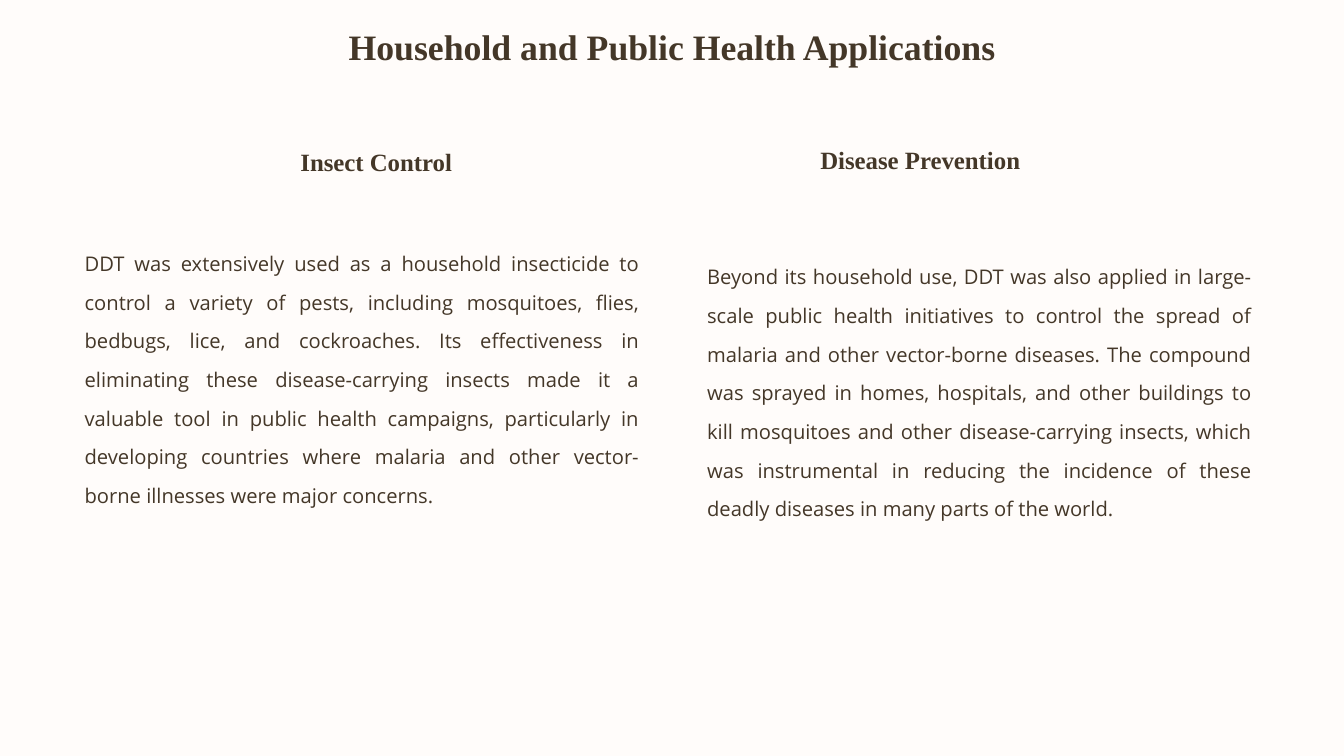
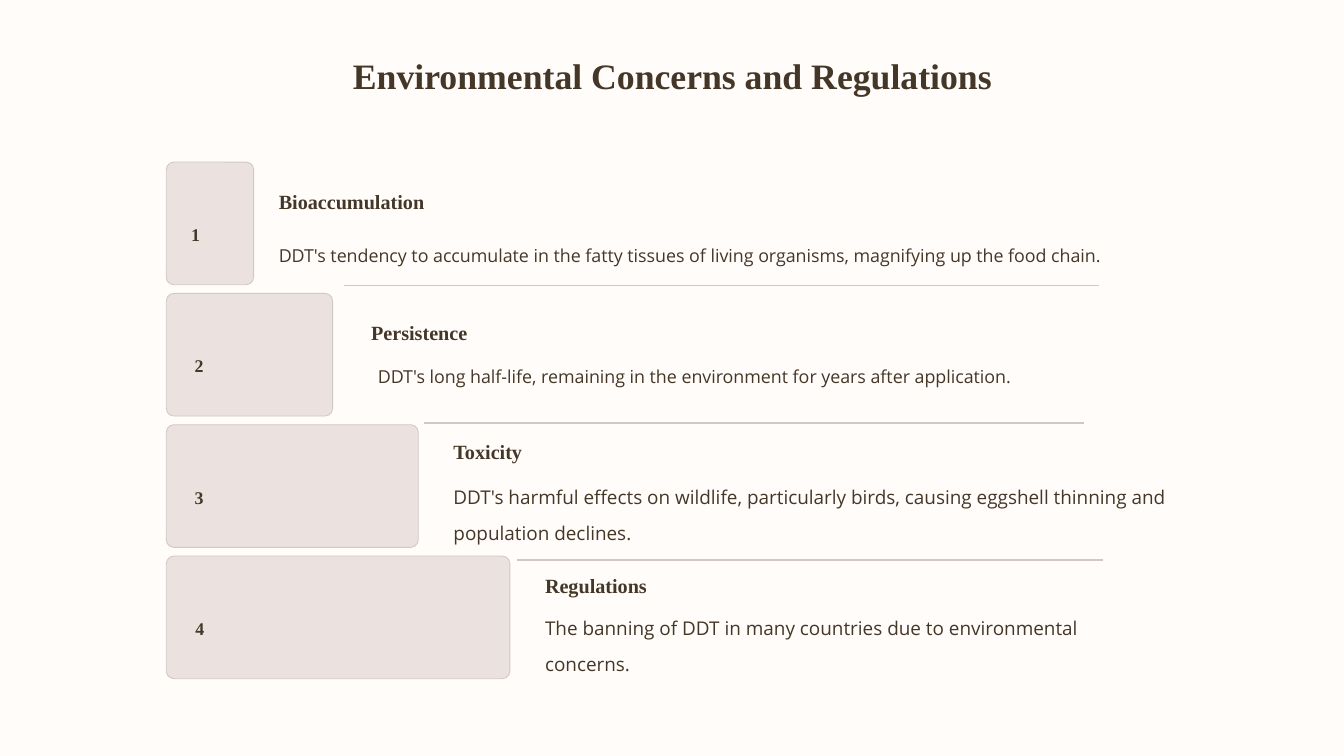
"""Build two slides on the uses of DDT and the concerns it raised."""
import pptx
import pptx.dml.color
import pptx.enum.shapes
import pptx.enum.text
import pptx.oxml
import pptx.util

COLORS = {"page": "FFFCFA", "text": "443728", "step": "EBE2E0", "line": "D1C8C6"}
SERIF, SANS = "Times New Roman", "Open Sans"
ALIGN = pptx.enum.text.PP_ALIGN
SHAPE = pptx.enum.shapes.MSO_SHAPE
W, H = 16, 9
INSET = 0.1

USES_TITLE = "Household and Public Health Applications"
USES = [
    {"head": "Insect Control", "head_at": (1.24, 1.61, 4.24, 0.72), "align": ALIGN.RIGHT,
     "body_at": (0.91, 2.77, 6.8, 3.46),
     "body": "DDT was extensively used as a household insecticide to control a variety of pests, "
             "including mosquitoes, flies, bedbugs, lice, and cockroaches. Its effectiveness in "
             "eliminating these disease-carrying insects made it a valuable tool in public health "
             "campaigns, particularly in developing countries where malaria and other vector-borne "
             "illnesses were major concerns."},
    {"head": "Disease Prevention", "head_at": (8.56, 1.58, 4.79, 0.78), "align": ALIGN.CENTER,
     "body_at": (8.32, 2.93, 6.68, 4.01),
     "body": "Beyond its household use, DDT was also applied in large-scale public health "
             "initiatives to control the spread of malaria and other vector-borne diseases. The "
             "compound was sprayed in homes, hospitals, and other buildings to kill mosquitoes and "
             "other disease-carrying insects, which was instrumental in reducing the incidence of "
             "these deadly diseases in many parts of the world."},
]

CONCERNS_TITLE = "Environmental Concerns and Regulations"
CONCERNS = [
    {"head": "Bioaccumulation", "width": 1.04, "number_left": 2.25,
     "head_at": (3.22, 2.13, 3.35, 0.43), "body_at": (3.22, 2.71, 10.21, 0.64),
     "size": 15.25, "rule": (4.09, 3.4, 8.99),
     "body": "DDT's tendency to accumulate in the fatty tissues of living organisms, "
             "magnifying up the food chain."},
    {"head": "Persistence", "width": 1.98, "number_left": 2.29,
     "head_at": (4.32, 3.69, 2.13, 0.31), "body_at": (4.4, 4.15, 8.68, 0.64),
     "size": 15.25, "rule": (5.05, 5.04, 7.85),
     "body": "DDT's long half-life, remaining in the environment for years after application."},
    {"head": "Toxicity", "width": 3, "number_left": 2.29,
     "head_at": (5.3, 5.11, 3.23, 0.31), "body_at": (5.3, 5.57, 8.68, 0.64),
     "size": 16.25, "rule": (6.16, 6.67, 6.97),
     "body": "DDT's harmful effects on wildlife, particularly birds, causing eggshell thinning "
             "and population declines."},
    {"head": "Regulations", "width": 4.09, "number_left": 2.3,
     "head_at": (6.39, 6.7, 3.23, 0.31), "body_at": (6.39, 7.13, 6.97, 0.64),
     "size": 16.2, "rule": None,
     "body": "The banning of DDT in many countries due to environmental concerns."},
]
STEP_LEFT, STEP_HEIGHT = 1.98, 1.46
FIRST_TOP, LAST_TOP = 1.93, 6.62
STEP_PITCH = (LAST_TOP - FIRST_TOP) / (len(CONCERNS) - 1)
CORNER = 0.09


def rgb(name):
    return pptx.dml.color.RGBColor.from_string(COLORS[name])


def inches(values):
    return [pptx.util.Inches(v) for v in values]


def add_text(slide, text, at, size, align=ALIGN.LEFT, heading=True, spacing=1.25, inset=INSET):
    tf = slide.shapes.add_textbox(*inches(at)).text_frame
    tf.word_wrap = True
    tf.margin_left = tf.margin_right = pptx.util.Inches(inset)
    tf.text = text
    p = tf.paragraphs[0]
    p.alignment, p.line_spacing = align, spacing
    font = p.runs[0].font
    font.name, font.size, font.bold = SERIF if heading else SANS, pptx.util.Pt(size), heading
    font.color.rgb = rgb("text")


def add_body(slide, text, at, size, align=ALIGN.LEFT):
    add_text(slide, text, at, size, align, heading=False, spacing=1.6)


def add_panel(slide, kind, at, fill, line=None):
    sp = slide.shapes.add_shape(kind, *inches(at))
    sp.shadow.inherit = False
    sp.fill.solid()
    sp.fill.fore_color.rgb = rgb(fill)
    if line:
        sp.line.color.rgb = rgb(line)
        sp.line.width = pptx.util.Pt(0.75)
    else:
        sp.line.fill.background()
    return sp


def add_slide(prs, title, at):
    slide = prs.slides.add_slide(prs.slide_layouts[6])
    add_panel(slide, SHAPE.RECTANGLE, (0, 0, W, H), "page")
    add_text(slide, title, at, 30.6, ALIGN.CENTER)
    return slide


def add_step(slide, number, top, width, number_left):
    sp = add_panel(slide, SHAPE.ROUNDED_RECTANGLE, (STEP_LEFT, top, width, STEP_HEIGHT),
                   "step", "line")
    sp.adjustments[0] = CORNER / min(width, STEP_HEIGHT)
    add_text(slide, str(number), (number_left, top + 0.53, 0.16, 0.4), 15.3,
             ALIGN.CENTER, spacing=1.6, inset=0)


def add_rule(slide, left, y, width):
    line = slide.shapes.add_connector(pptx.enum.shapes.MSO_CONNECTOR.STRAIGHT,
                                      *inches((left, y, left + width, y)))
    line.line.color.rgb = rgb("line")
    line.line.width = pptx.util.Pt(1.5)
    line._element.spPr.append(pptx.oxml.parse_xml(
        '<a:effectLst xmlns:a="http://schemas.openxmlformats.org/drawingml/2006/main"/>'))


def build_uses(prs):
    slide = add_slide(prs, USES_TITLE, (3.62, 0.12, 8.76, 0.53))
    for use in USES:
        add_text(slide, use["head"], use["head_at"], 21.3, use["align"])
        add_body(slide, use["body"], use["body_at"], 17.25, ALIGN.JUSTIFY)


def build_concerns(prs):
    slide = add_slide(prs, CONCERNS_TITLE, (1.01, 0.46, 13.99, 0.53))
    for i, concern in enumerate(CONCERNS):
        add_step(slide, i + 1, FIRST_TOP + i * STEP_PITCH, concern["width"],
                 concern["number_left"])
        add_text(slide, concern["head"], concern["head_at"], 17.3)
        add_body(slide, concern["body"], concern["body_at"], concern["size"])
        if concern["rule"]:
            add_rule(slide, *concern["rule"])


def main():
    prs = pptx.Presentation()
    prs.slide_width, prs.slide_height = inches((W, H))
    build_uses(prs)
    build_concerns(prs)
    prs.save("out.pptx")


if __name__ == "__main__":
    main()
